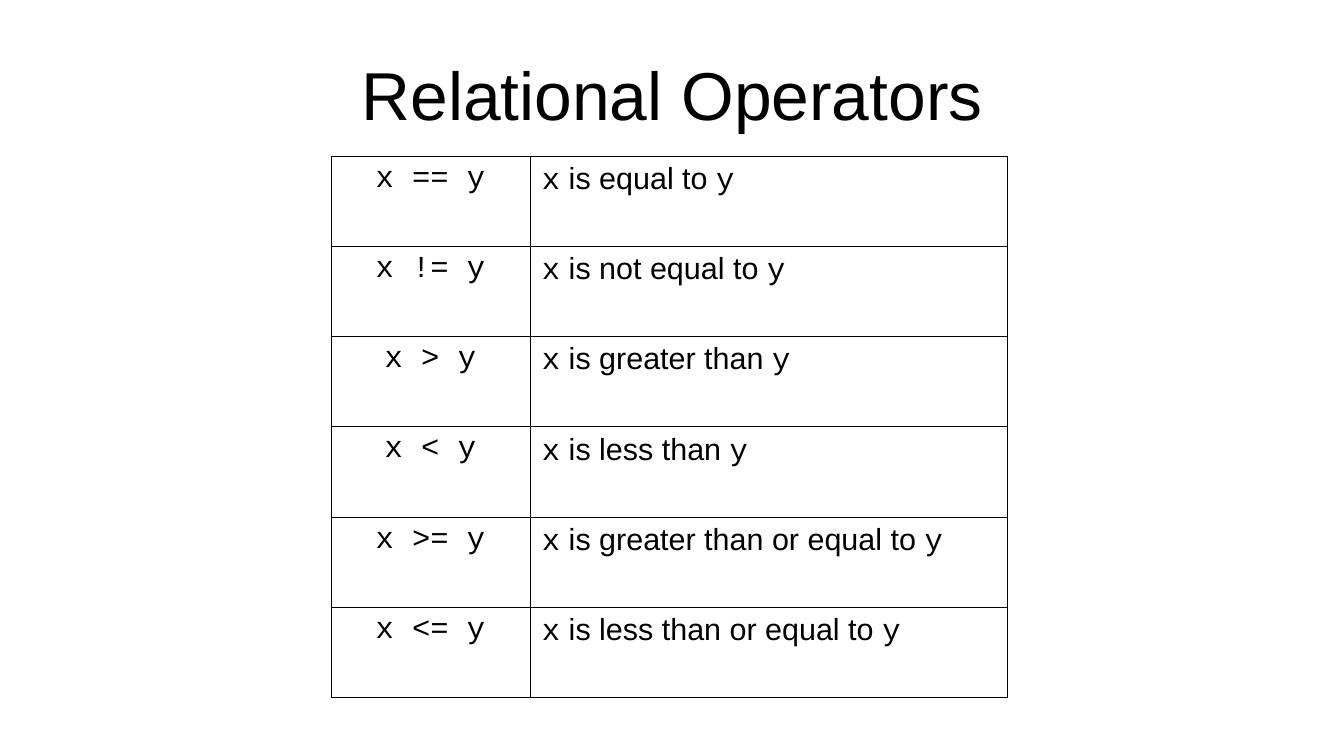
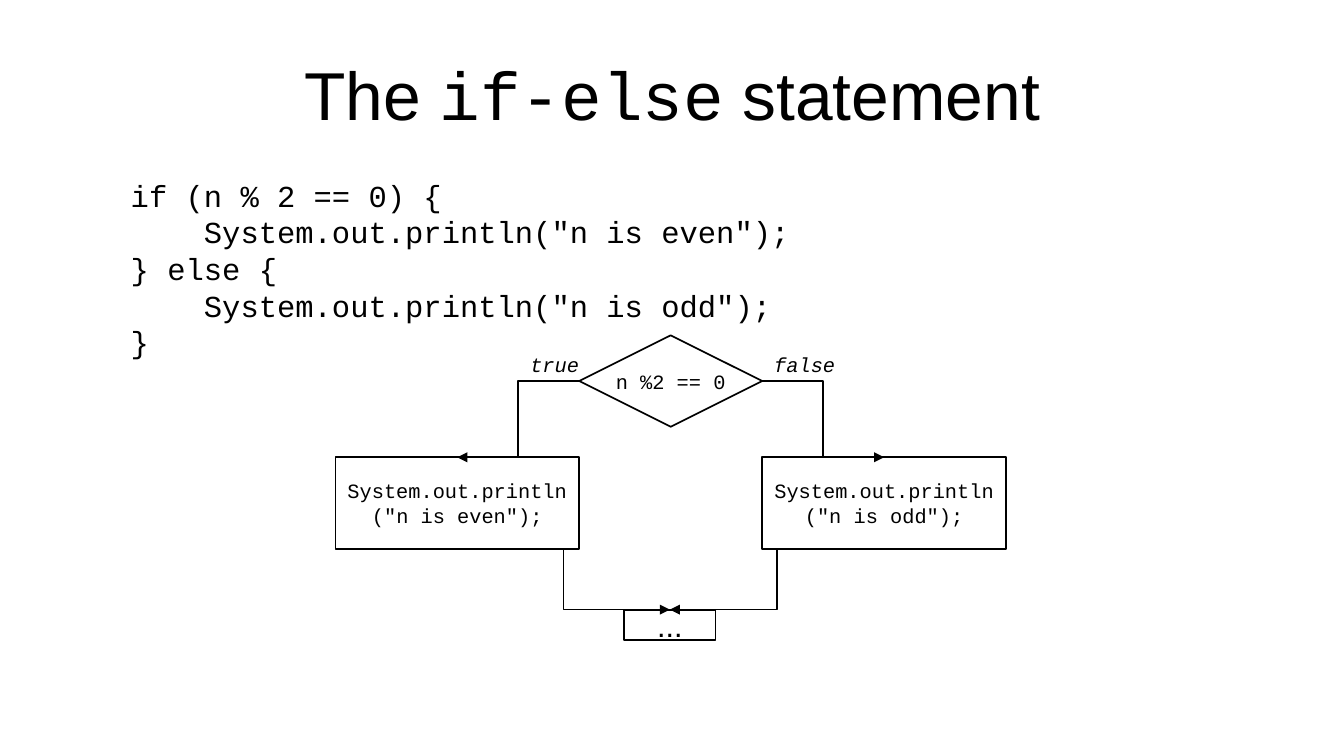
from pptx import Presentation
from pptx.dml.color import RGBColor
from pptx.enum.shapes import MSO_CONNECTOR, MSO_SHAPE
from pptx.enum.text import MSO_ANCHOR, MSO_AUTO_SIZE, PP_ALIGN
from pptx.oxml import parse_xml
from pptx.oxml.ns import nsdecls
from pptx.util import Pt

LEFT, CENTER = PP_ALIGN.LEFT, PP_ALIGN.CENTER
TOP, MIDDLE = MSO_ANCHOR.TOP, MSO_ANCHOR.MIDDLE
RECT, DIAMOND = MSO_SHAPE.RECTANGLE, MSO_SHAPE.DIAMOND
ELBOW, FIXED = MSO_CONNECTOR.ELBOW, MSO_AUTO_SIZE.NONE

SANS, MONO = "Arial", "Courier New"
COLORS = {"ink": "000000", "paper": "FFFFFF"}
TITLE_ONLY, TITLE_BODY = 5, 1


def rgb(name):
    return RGBColor.from_string(COLORS[name])


def node(tag, attrs="", inner=""):
    return parse_xml(f"<a:{tag} {nsdecls('a')} {attrs}>{inner}</a:{tag}>")


class Deck:
    def __init__(self, width, height):
        self.prs = Presentation()
        self.prs.slide_width, self.prs.slide_height = Pt(width), Pt(height)
        self.slide = None

    def start(self, layout, *title):
        """Add a slide with a centred title made of (text, font) runs."""
        self.slide = self.prs.slides.add_slide(self.prs.slide_layouts[layout])
        fill = self.slide.background.fill
        fill.solid()
        fill.fore_color.rgb = rgb("paper")
        shape = self.slide.shapes.title
        self.place(shape, 39.6, 18, 714.24, 74.88)
        self.frame(shape.text_frame, MIDDLE, 0, 0)
        self.line(shape.text_frame.paragraphs[0], title, 40, CENTER)

    def place(self, shape, x, y, w, h):
        shape.left, shape.top, shape.width, shape.height = Pt(x), Pt(y), Pt(w), Pt(h)

    def frame(self, frame, anchor, side, edge, wrap=True):
        frame.auto_size = FIXED
        frame.word_wrap = wrap
        frame.vertical_anchor = anchor
        frame.margin_left = frame.margin_right = Pt(side)
        frame.margin_top = frame.margin_bottom = Pt(edge)

    def line(self, para, runs, size, align=LEFT, italic=False):
        para.alignment = align
        for text, name in runs:
            run = para.add_run()
            run.text = text
            font = run.font
            font.name, font.size, font.italic = name, Pt(size), italic
            font.color.rgb = rgb("ink")

    def code(self, x, y, w, h, lines):
        """Fill the body placeholder with unbulleted code lines."""
        body = self.slide.placeholders[1]
        self.place(body, x, y, w, h)
        self.frame(body.text_frame, TOP, 7.2, 3.6)
        for i, text in enumerate(lines):
            para = body.text_frame.add_paragraph() if i else body.text_frame.paragraphs[0]
            props = para._p.get_or_add_pPr()
            props.set("marL", "0")
            props.set("indent", "0")
            props.append(node("buNone"))
            para.space_before = Pt(0)
            self.line(para, [(text, MONO)], 18)

    def label(self, x, y, w, h, text):
        box = self.slide.shapes.add_textbox(Pt(x), Pt(y), Pt(w), Pt(h))
        self.frame(box.text_frame, TOP, 7.2, 3.6)
        self.line(box.text_frame.paragraphs[0], [(text, MONO)], 12, italic=True)

    def box(self, kind, x, y, w, h, lines, size=12, font=MONO):
        shape = self.slide.shapes.add_shape(kind, Pt(x), Pt(y), Pt(w), Pt(h))
        shape.shadow.inherit = False
        shape.fill.solid()
        shape.fill.fore_color.rgb = rgb("paper")
        shape.line.color.rgb = rgb("ink")
        shape.line.width = Pt(1)
        self.frame(shape.text_frame, MIDDLE, 7.92, 4.32, wrap=False)
        para = shape.text_frame.paragraphs[0]
        for i, text in enumerate(lines):
            if i:
                para.add_line_break()
            self.line(para, [(text, font)], size, CENTER)

    def arrow(self, x1, y1, x2, y2):
        link = self.slide.shapes.add_connector(ELBOW, Pt(x1), Pt(y1), Pt(x2), Pt(y2))
        link.line.color.rgb = rgb("ink")
        link.line.width = Pt(1)
        link.line._get_or_add_ln().append(node("tailEnd", 'type="triangle"'))
        link._element.spPr.append(node("effectLst"))

    def table(self, x, y, widths, height, rows):
        """Draw a ruled table; each cell is (runs, alignment)."""
        grid = self.slide.shapes.add_table(
            len(rows), len(widths), Pt(x), Pt(y), Pt(sum(widths)), Pt(height * len(rows))).table
        grid.first_row = grid.horz_banding = False
        for col, width in zip(grid.columns, widths):
            col.width = Pt(width)
        for r, row in enumerate(rows):
            grid.rows[r].height = Pt(height)
            for c, (runs, align) in enumerate(row):
                cell = grid.cell(r, c)
                cell.margin_left = cell.margin_right = Pt(7.2)
                cell.margin_top = cell.margin_bottom = Pt(3.6)
                self.rule(cell)
                cell.fill.solid()
                cell.fill.fore_color.rgb = rgb("paper")
                self.line(cell.text_frame.paragraphs[0], runs, 18, align)

    def rule(self, cell):
        props = cell._tc.get_or_add_tcPr()
        ink = f'<a:solidFill><a:srgbClr val="{COLORS["ink"]}"/></a:solidFill>'
        for side in "LRTB":
            props.append(node(f"ln{side}", f'w="{Pt(0.06)}"', ink))


def main():
    deck = Deck(793.44, 446.4)

    # Operator table
    deck.start(TITLE_ONLY, ("Relational Operators", SANS))
    terms = [("==", "equal to"), ("!=", "not equal to"), (">", "greater than"),
             ("<", "less than"), (">=", "greater than or equal to"),
             ("<=", "less than or equal to")]
    rows = [[([(f"x {sign} y", MONO)], CENTER),
             ([("x", MONO), (f" is {words} ", SANS), ("y", MONO)], LEFT)]
            for sign, words in terms]
    deck.table(195.4, 92, [117.4, 282], 53.28, rows)

    # Code sample
    deck.start(TITLE_BODY, ("The ", SANS), ("if-else", MONO), (" statement", SANS))
    deck.code(70, 100.8, 420, 109.4, [
        "if (n % 2 == 0) {",
        '    System.out.println("n is even");',
        "} else {",
        '    System.out.println("n is odd");',
        "}"])

    # Flow chart: test, two branches, shared end
    deck.box(DIAMOND, 342, 198, 108, 54, ["n %2 == 0"])
    deck.box(RECT, 368.5, 360, 54, 18, ["..."], 18, SANS)
    for side, answer, word, x, wide in [(-1, "true", "even", 306, 43.2),
                                        (1, "false", "odd", 450, 50.4)]:
        mid = 396 + side * 126
        deck.box(RECT, mid - 72, 270, 144, 54,
                 ["System.out.println", f'("n is {word}");'])
        deck.label(x, 204.5, wide, 20.9, answer)
        deck.arrow(396 + side * 54, 225, mid, 270)
        deck.arrow(mid, 324, 395.5, 360)

    deck.prs.save("out.pptx")


if __name__ == "__main__":
    main()
